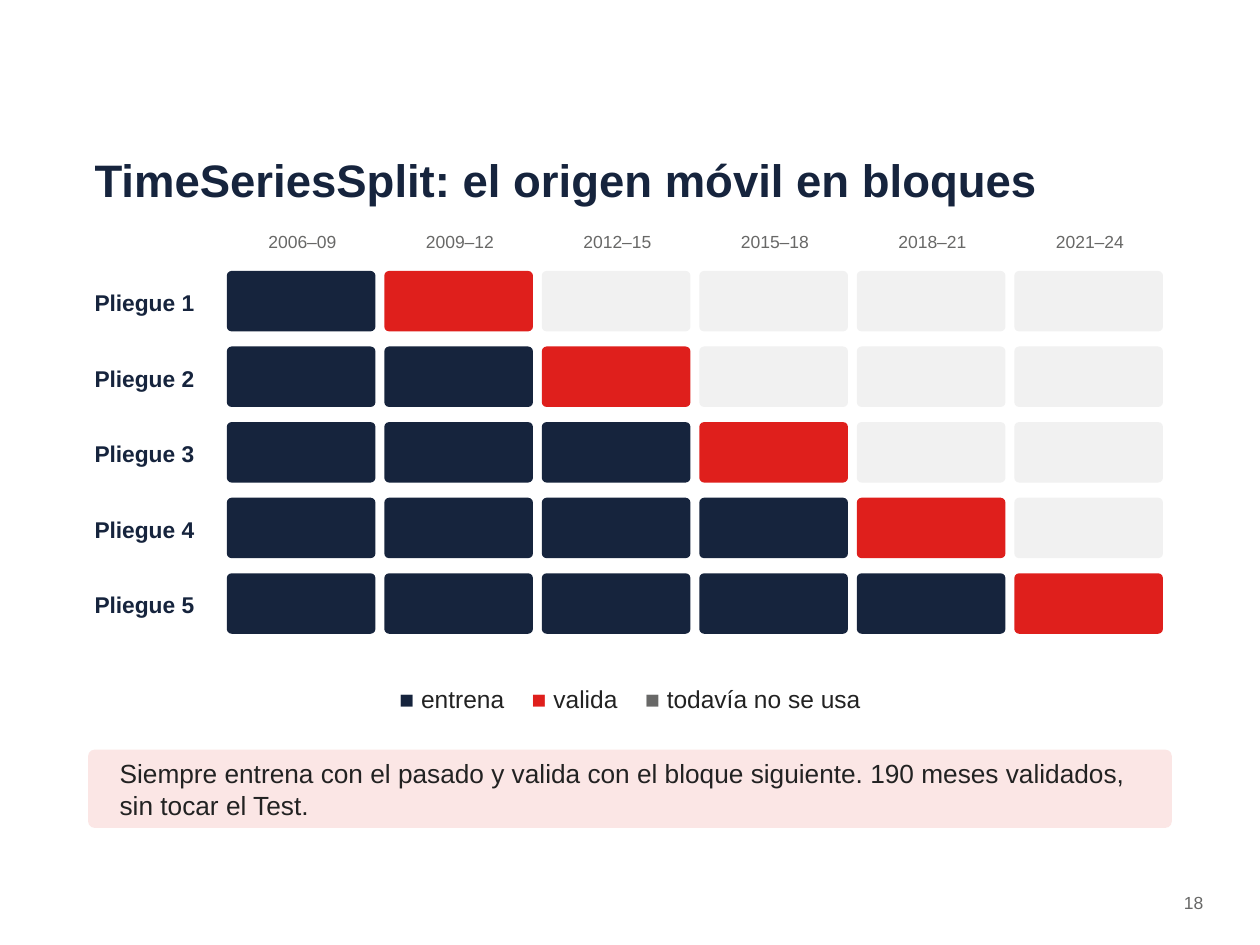
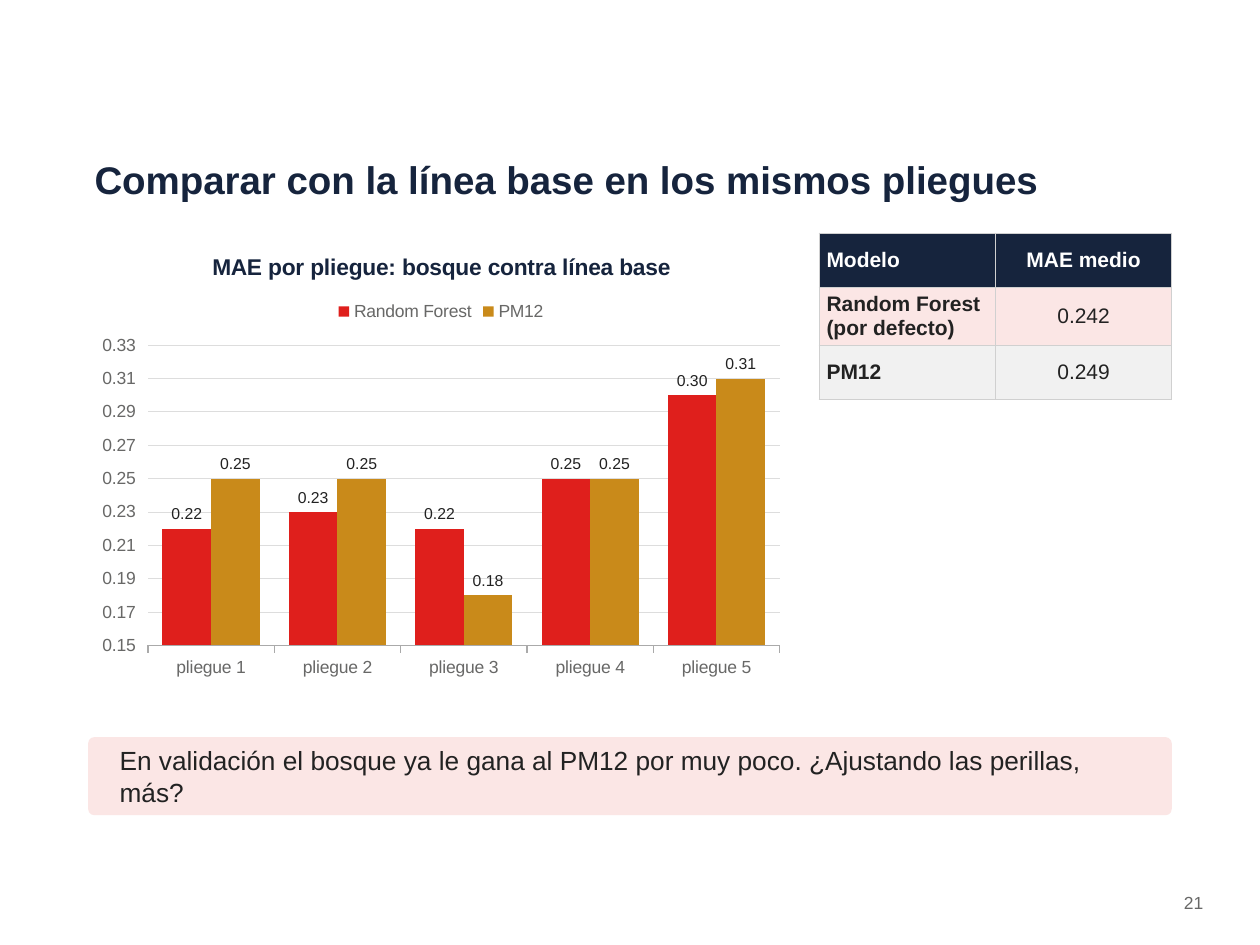
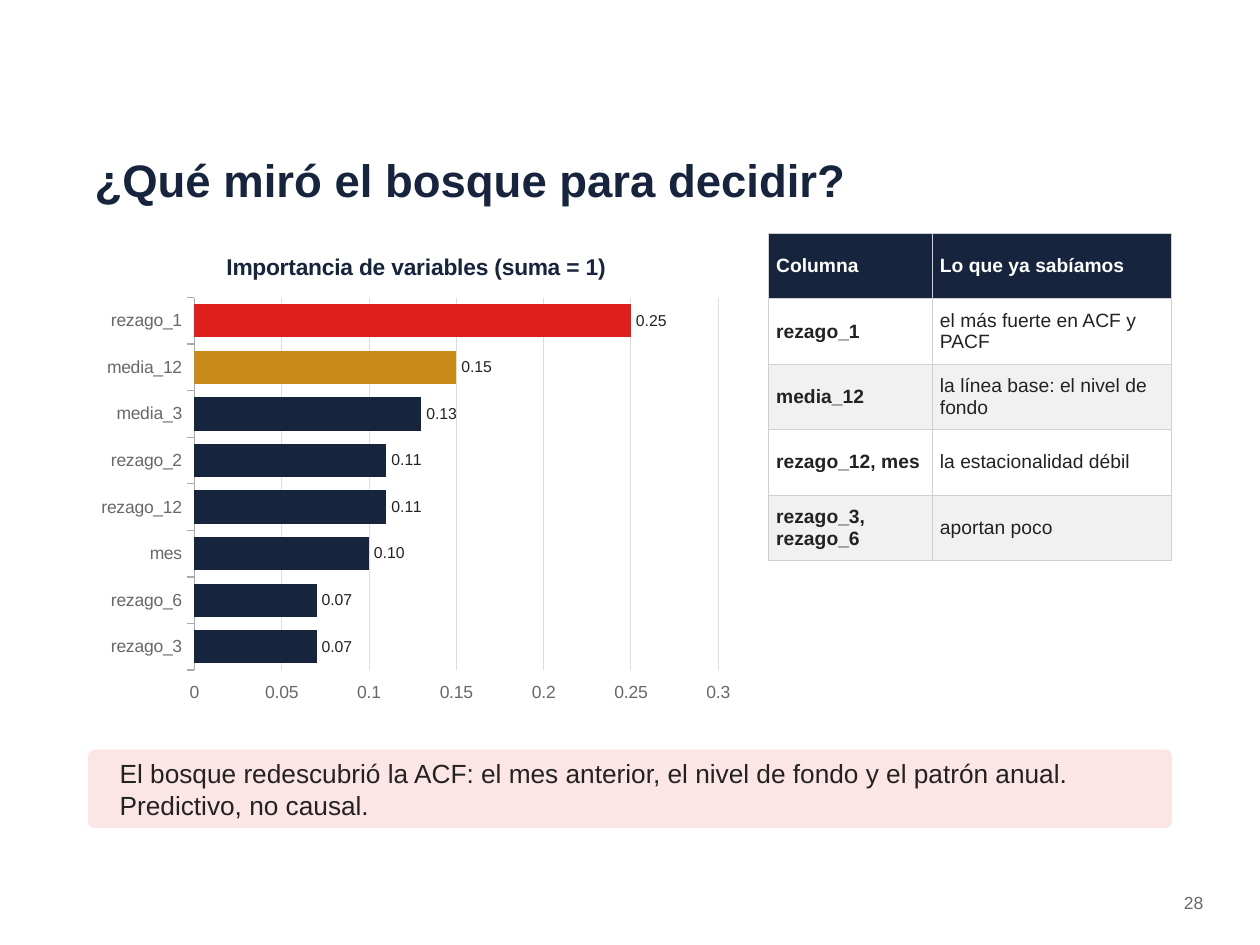
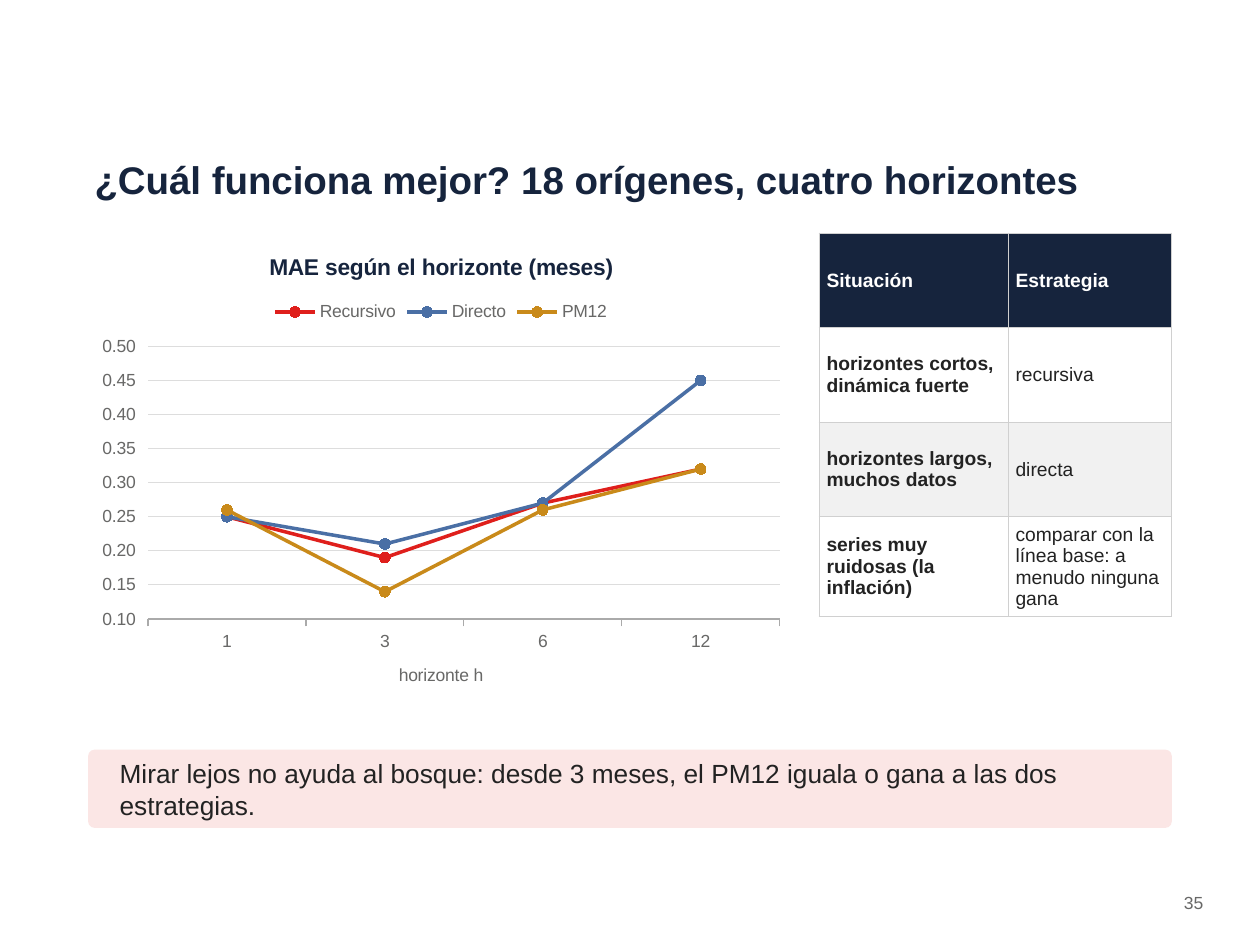
from lxml import etree
from pptx import Presentation
from pptx.chart.data import CategoryChartData
from pptx.dml.color import RGBColor
from pptx.enum.chart import (
    XL_CHART_TYPE as CHART,
    XL_LABEL_POSITION as LABEL_POS,
    XL_LEGEND_POSITION as LEGEND_POS,
    XL_MARKER_STYLE as MARKER,
    XL_TICK_LABEL_POSITION as TICK_POS,
)
from pptx.enum.shapes import MSO_SHAPE as SHAPE
from pptx.enum.text import MSO_ANCHOR as ANCHOR, MSO_AUTO_SIZE as AUTO_SIZE, PP_ALIGN as ALIGN
from pptx.oxml.ns import qn
from pptx.util import Emu, Pt

PX = 9144  # 100 px to the inch
FONT = "Arial"
TITLE_ONLY = 5
LEFT, WIDTH, CONTENT_TOP = 70, 860, 185
COLORS = {
    "navy": "16243D",
    "red": "DF1F1C",
    "gold": "C98A1A",
    "blue": "4A6FA5",
    "pink": "FBE6E5",
    "light": "F1F1F1",
    "white": "FFFFFF",
    "text": "222222",
    "muted": "686867",
    "axis": "AAAAAA",
    "grid": "DDDDDD",
    "border": "D0D0D0",
    "black": "000000",
}


def px(*lengths):
    return [Emu(n * PX) for n in lengths]


def rgb(name):
    return RGBColor.from_string(COLORS[name])


def style_font(font, size, color, bold=False):
    font.name = FONT
    font.size = Pt(size)
    font.bold = bold
    font.color.rgb = rgb(color)


def style_frame(tf, anchor=ANCHOR.TOP):
    """Apply the shared insets, wrapping and growth of text boxes."""
    tf.word_wrap = True
    tf.auto_size = AUTO_SIZE.SHAPE_TO_FIT_TEXT
    tf.vertical_anchor = anchor
    tf.margin_left, tf.margin_top, tf.margin_right, tf.margin_bottom = px(5, 3, 5, 3)


def fill_frame(tf, text, size, color, bold=False, align=ALIGN.LEFT):
    tf.text = text
    p = tf.paragraphs[0]
    p.alignment = align
    p.space_after = Pt(4)
    for r in p.runs:
        style_font(r.font, size, color, bold)


def add_text(slide, box, text, size, color, bold=False, align=ALIGN.LEFT, anchor=ANCHOR.TOP):
    tf = slide.shapes.add_textbox(*px(*box)).text_frame
    style_frame(tf, anchor)
    fill_frame(tf, text, size, color, bold, align)
    return tf


def add_block(slide, box, color):
    sp = slide.shapes.add_shape(SHAPE.ROUNDED_RECTANGLE, *px(*box))
    sp.adjustments[0] = 0.08
    sp.shadow.inherit = False
    sp.fill.solid()
    sp.fill.fore_color.rgb = rgb(color)
    sp.line.fill.background()


def add_slide(prs, title, number, title_size=26):
    slide = prs.slides.add_slide(prs.slide_layouts[TITLE_ONLY])
    sp = slide.shapes.title
    sp.left, sp.top, sp.width, sp.height = px(LEFT, 105, WIDTH, 75)
    style_frame(sp.text_frame, ANCHOR.MIDDLE)
    fill_frame(sp.text_frame, title, title_size, "navy", bold=True)
    add_text(slide, (900, 705, 60, 30), str(number), 10, "muted", align=ALIGN.RIGHT)
    return slide


def add_callout(slide, text, top=595):
    add_block(slide, (LEFT, top, WIDTH, 62), "pink")
    add_text(slide, (LEFT + 20, top, WIDTH - 40, 62), text, 15, "text", anchor=ANCHOR.MIDDLE)


def add_fold_grid(slide, periods):
    """Each fold trains on the blocks before the one it validates."""
    left, top, step_x, step_y = 180, 215, 125, 60
    for col, period in enumerate(periods):
        add_text(slide, (left + col * step_x, 180, 120, 30), period, 10, "muted", align=ALIGN.CENTER)
    for fold in range(1, len(periods)):
        y = top + (fold - 1) * step_y
        add_text(slide, (LEFT, y, 105, 50), f"Pliegue {fold}", 13, "navy", True, anchor=ANCHOR.MIDDLE)
        for col in range(len(periods)):
            color = "navy" if col < fold else "red" if col == fold else "light"
            add_block(slide, (left + col * step_x, y, 118, 48), color)


def add_key(slide, entries):
    """Add a one-line key; each entry is (label, square colour, tab stop)."""
    tf = add_text(slide, (LEFT, 540, WIDTH, 40), "", 14, "text")
    p = tf.paragraphs[0]
    tabs = etree.SubElement(p._p.get_or_add_pPr(), qn("a:tabLst"))
    for label, color, stop in entries:
        etree.SubElement(tabs, qn("a:tab"), pos=str(stop * PX), algn="l")
        for text, text_color in (("\t■ ", color), (label, "text")):
            r = p.add_run()
            r.text = text
            style_font(r.font, 14, text_color)


def add_borders(cell):
    tc_pr = cell._tc.get_or_add_tcPr()
    for side in ("lnL", "lnR", "lnT", "lnB"):
        ln = etree.SubElement(tc_pr, qn(f"a:{side}"), w=str(Pt(0.5)))
        fill = etree.SubElement(ln, qn("a:solidFill"))
        etree.SubElement(fill, qn("a:srgbClr"), val=COLORS["border"])


def add_table(slide, left, col_widths, row_height, rows, size=11, highlight=None, centered=()):
    box = (left, CONTENT_TOP, sum(col_widths), row_height * len(rows))
    table = slide.shapes.add_table(len(rows), len(col_widths), *px(*box)).table
    table.horz_banding = False
    for column, width in zip(table.columns, px(*col_widths)):
        column.width = width
    for i, row in enumerate(rows):
        header = i == 0
        if header:
            fill = "navy"
        elif i == highlight:
            fill = "pink"
        else:
            fill = "white" if i % 2 else "light"
        for j, text in enumerate(row):
            cell = table.cell(i, j)
            add_borders(cell)
            cell.fill.solid()
            cell.fill.fore_color.rgb = rgb(fill)
            cell.vertical_anchor = ANCHOR.MIDDLE
            cell.margin_left, cell.margin_top, cell.margin_right, cell.margin_bottom = px(6, 3, 6, 3)
            cell.text_frame.text = text
            p = cell.text_frame.paragraphs[0]
            p.alignment = ALIGN.CENTER if j in centered else ALIGN.LEFT
            style_font(p.runs[0].font, size, "white" if header else "text", header or j == 0)


def style_axes(chart, low, high, unit):
    cat, val = chart.category_axis, chart.value_axis
    for axis in (cat, val):
        style_font(axis.tick_labels.font, 10, "muted")
    cat.tick_label_position = TICK_POS.LOW
    cat.format.line.color.rgb = rgb("axis")
    cat.format.line.width = Pt(0.75)
    val.format.line.fill.background()
    val.minimum_scale, val.maximum_scale, val.major_unit = low, high, unit
    val.major_gridlines.format.line.color.rgb = rgb("grid")
    val.major_gridlines.format.line.width = Pt(0.5)


def add_chart(slide, kind, size, title, categories, series, scale):
    """Add a chart; series is a list of (name, values), scale is (low, high, unit)."""
    data = CategoryChartData()
    data.categories = categories
    for name, values in series:
        data.add_series(name, values)
    chart = slide.shapes.add_chart(kind, *px(LEFT, CONTENT_TOP, *size), data).chart
    style_font(chart.font, 10, "black")
    chart.has_title = True
    chart.chart_title.include_in_layout = False
    tf = chart.chart_title.text_frame
    tf.text = title
    style_font(tf.paragraphs[0].runs[0].font, 13, "navy", True)
    chart.has_legend = len(series) > 1
    if chart.has_legend:
        chart.legend.position = LEGEND_POS.TOP
        chart.legend.include_in_layout = False
        style_font(chart.legend.font, 10, "muted")
    chart.plots[0].vary_by_categories = False
    style_axes(chart, *scale)
    return chart


def style_bars(chart, gap, colors):
    plot = chart.plots[0]
    plot.gap_width = gap
    plot.overlap = 0
    for series, color in zip(plot.series, colors):
        series.format.fill.solid()
        series.format.fill.fore_color.rgb = rgb(color)
        labels = series.data_labels
        labels.show_value = True
        labels.position = LABEL_POS.OUTSIDE_END
        labels.number_format = "0.00"
        labels.number_format_is_linked = False
        style_font(labels.font, 9, "text")


def style_lines(chart, colors):
    for series, color in zip(chart.plots[0].series, colors):
        series.smooth = False
        series.format.line.color.rgb = rgb(color)
        series.format.line.width = Pt(2)
        series.marker.style = MARKER.CIRCLE
        series.marker.size = 6
        series.marker.format.fill.solid()
        series.marker.format.fill.fore_color.rgb = rgb(color)
        series.marker.format.line.color.rgb = rgb(color)


def build_split_slide(prs):
    slide = add_slide(prs, "TimeSeriesSplit: el origen móvil en bloques", 18)
    add_fold_grid(slide, ["2006–09", "2009–12", "2012–15", "2015–18", "2018–21", "2021–24"])
    add_key(slide, [
        ("entrena", "navy", 242),
        ("valida", "red", 347),
        ("todavía no se usa", "muted", 437),
    ])
    add_callout(slide, "Siempre entrena con el pasado y valida con el bloque siguiente. "
                       "190 meses validados, sin tocar el Test.")


def build_baseline_slide(prs):
    slide = add_slide(prs, "Comparar con la línea base en los mismos pliegues", 21, 22)
    chart = add_chart(
        slide, CHART.COLUMN_CLUSTERED, (560, 360), "MAE por pliegue: bosque contra línea base",
        [f"pliegue {n}" for n in range(1, 6)],
        [("Random Forest", (0.22, 0.23, 0.22, 0.25, 0.30)),
         ("PM12", (0.25, 0.25, 0.18, 0.25, 0.31))],
        (0.15, 0.33, 0.02))
    style_bars(chart, 60, ["red", "gold"])
    add_table(slide, 650, (140, 140), 43, [
        ("Modelo", "MAE medio"),
        ("Random Forest (por defecto)", "0.242"),
        ("PM12", "0.249"),
    ], size=12, highlight=1, centered=(1,))
    add_callout(slide, "En validación el bosque ya le gana al PM12 por muy poco. "
                       "¿Ajustando las perillas, más?", top=585)


def build_importance_slide(prs):
    slide = add_slide(prs, "¿Qué miró el bosque para decidir?", 28)
    importance = {
        "rezago_3": 0.07, "rezago_6": 0.07, "mes": 0.10, "rezago_12": 0.11,
        "rezago_2": 0.11, "media_3": 0.13, "media_12": 0.15, "rezago_1": 0.25,
    }
    chart = add_chart(
        slide, CHART.BAR_CLUSTERED, (520, 380), "Importancia de variables (suma = 1)",
        list(importance), [("Importancia", list(importance.values()))], (0, 0.3, 0.05))
    style_bars(chart, 40, ["navy"])
    bars = chart.plots[0].series[0].points
    for index, color in ((6, "gold"), (7, "red")):
        bars[index].format.fill.solid()
        bars[index].format.fill.fore_color.rgb = rgb(color)
    add_table(slide, 610, (130, 190), 52, [
        ("Columna", "Lo que ya sabíamos"),
        ("rezago_1", "el más fuerte en ACF y PACF"),
        ("media_12", "la línea base: el nivel de fondo"),
        ("rezago_12, mes", "la estacionalidad débil"),
        ("rezago_3, rezago_6", "aportan poco"),
    ])
    add_callout(slide, "El bosque redescubrió la ACF: el mes anterior, el nivel de fondo "
                       "y el patrón anual. Predictivo, no causal.")


def build_horizon_slide(prs):
    slide = add_slide(prs, "¿Cuál funciona mejor? 18 orígenes, cuatro horizontes", 35, 22)
    chart = add_chart(
        slide, CHART.LINE_MARKERS, (560, 380), "MAE según el horizonte (meses)",
        ["1", "3", "6", "12"],
        [("Recursivo", (0.25, 0.19, 0.27, 0.32)),
         ("Directo", (0.25, 0.21, 0.27, 0.45)),
         ("PM12", (0.26, 0.14, 0.26, 0.32))],
        (0.1, 0.5, 0.05))
    style_lines(chart, ["red", "blue", "gold"])
    ticks = chart.value_axis.tick_labels
    ticks.number_format = "0.00"
    ticks.number_format_is_linked = False
    tf = chart.category_axis.axis_title.text_frame
    tf.text = "horizonte h"
    style_font(tf.paragraphs[0].runs[0].font, 10, "muted")
    add_table(slide, 650, (150, 130), 75, [
        ("Situación", "Estrategia"),
        ("horizontes cortos, dinámica fuerte", "recursiva"),
        ("horizontes largos, muchos datos", "directa"),
        ("series muy ruidosas (la inflación)", "comparar con la línea base: a menudo ninguna gana"),
    ])
    add_callout(slide, "Mirar lejos no ayuda al bosque: desde 3 meses, el PM12 iguala "
                       "o gana a las dos estrategias.")


def main():
    prs = Presentation()
    prs.slide_width, prs.slide_height = px(1000, 750)
    build_split_slide(prs)
    build_baseline_slide(prs)
    build_importance_slide(prs)
    build_horizon_slide(prs)
    prs.save("out.pptx")


if __name__ == "__main__":
    main()
